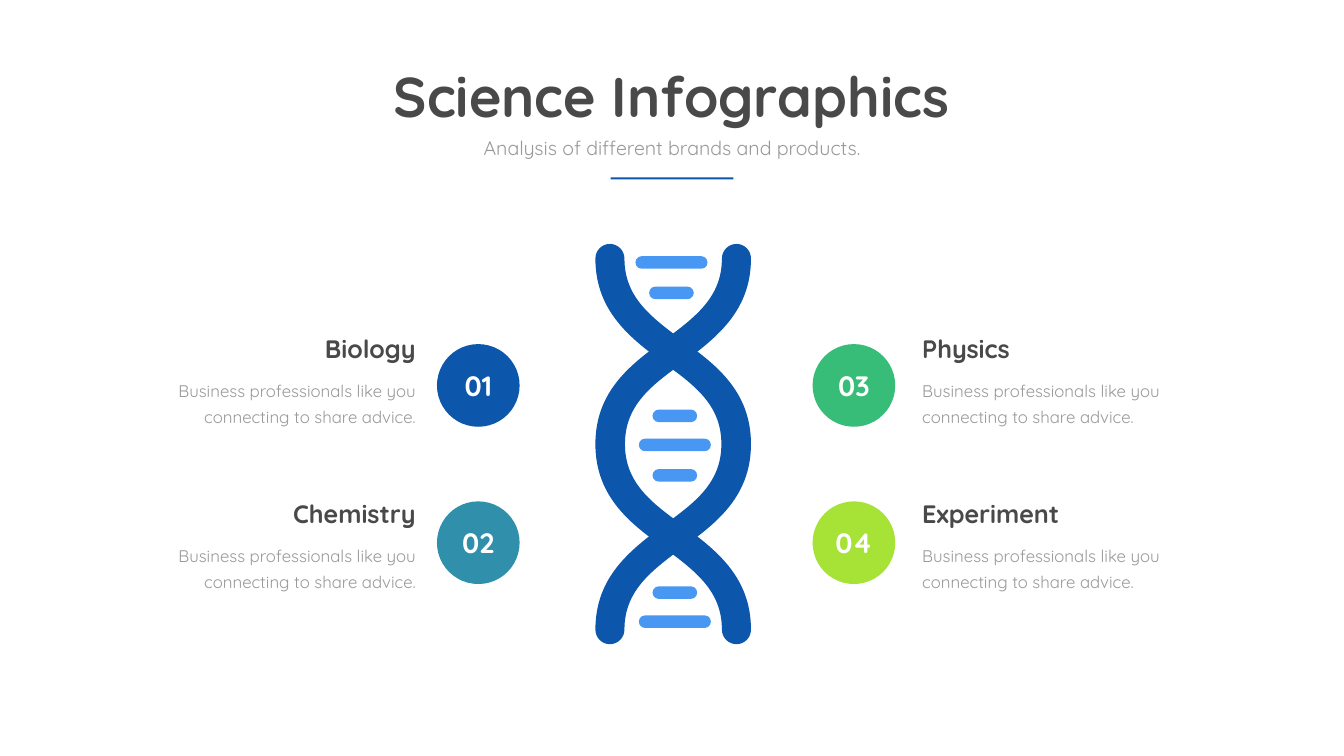
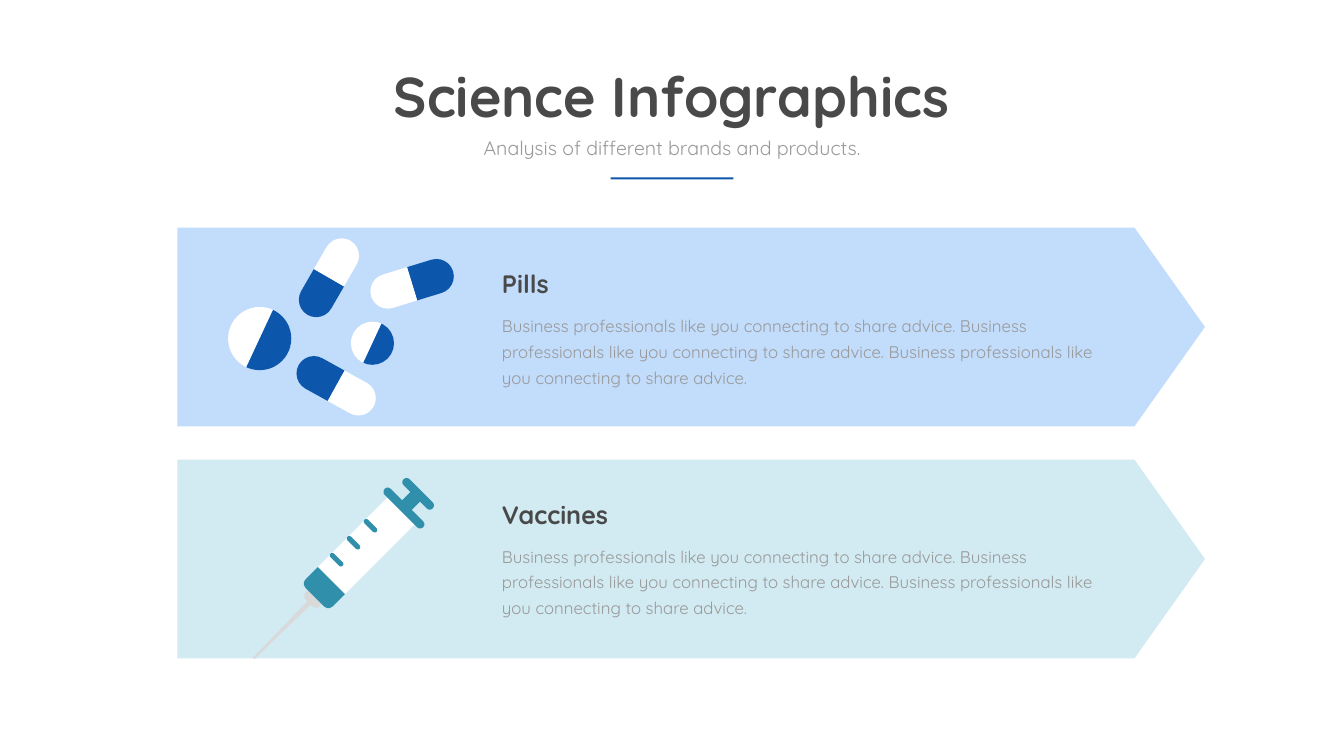
from math import cos, radians, sin

from pptx import Presentation
from pptx import util as u
from pptx.dml.color import RGBColor
from pptx.enum import shapes, text
from pptx.oxml import ns, xmlchemy

NAVY = RGBColor(0x0C, 0x56, 0xAB)
SKY = RGBColor(0x48, 0x97, 0xF2)
TEAL = RGBColor(0x30, 0x8F, 0xAB)
GREEN = RGBColor(0x37, 0xBD, 0x78)
LIME = RGBColor(0xA7, 0xE2, 0x37)
PALE_BLUE = RGBColor(0xC2, 0xDC, 0xFB)
PALE_TEAL = RGBColor(0xD2, 0xEB, 0xF2)
SILVER = RGBColor(0xD9, 0xD9, 0xD9)
WHITE = RGBColor(0xFF, 0xFF, 0xFF)
DARK = RGBColor(0x49, 0x49, 0x49)
GRAY = RGBColor(0x99, 0x99, 0x99)

FONT = "Quicksand"
TITLE = {"size": u.Pt(80), "bold": True}, DARK, None
SUBTITLE = {"size": u.Pt(28), "bold": False}, GRAY, None
HEADING = {"size": u.Pt(36), "bold": True}, DARK, None
BODY = {"size": u.Pt(24), "bold": False}, GRAY, u.Pt(36.6)
NUMBER = {"size": u.Pt(40), "bold": True}, WHITE, None
LEFT, CENTER, RIGHT = text.PP_ALIGN.LEFT, text.PP_ALIGN.CENTER, text.PP_ALIGN.RIGHT
KIND = shapes.MSO_SHAPE
ADVICE = "Business professionals like you connecting to share advice."

presentation = Presentation()
presentation.slide_width = u.Inches(26.67)
presentation.slide_height = u.Inches(15)

# Square grid: 80 columns by 45 rows; all lengths below are in cells
CELL = presentation.slide_width / 80


def place(slide, kind, center, size, color, rotation=0, adjustments=()):
    """Add a plain shape around its center."""
    (x, y), (width, height) = center, size
    box = (x - width / 2, y - height / 2, width, height)
    shape = slide.shapes.add_shape(kind, *[round(value * CELL) for value in box])
    for index, value in enumerate(adjustments):
        shape.adjustments[index] = value
    shape.rotation = rotation
    shape.shadow.inherit = False
    shape.fill.solid()
    shape.fill.fore_color.rgb = color
    shape.line.fill.background()
    return shape


def write(slide, words, style, align, box=None, shape=None, anchor=text.MSO_ANCHOR.TOP, wrap=True):
    """Write one paragraph into a shape, or into a new text box."""
    font_format, color, line_spacing = style
    if shape is None:
        shape = slide.shapes.add_textbox(0, 0, 0, 0)
    if box:
        for name, value in zip(("left", "top", "width", "height"), box):
            setattr(shape, name, round(value * CELL))
    frame = shape.text_frame
    frame.text = words
    frame_format = {"word_wrap": wrap, "auto_size": text.MSO_AUTO_SIZE.NONE, "vertical_anchor": anchor}
    for name, value in frame_format.items():
        setattr(frame, name, value)
    paragraph = frame.paragraphs[0]
    paragraph_format = {"alignment": align, "space_before": u.Pt(0), "line_spacing": line_spacing or 1.0}
    for name, value in paragraph_format.items():
        setattr(paragraph, name, value)
    font = paragraph.runs[0].font
    for name, value in {"name": FONT, **font_format}.items():
        setattr(font, name, value)
    font.color.rgb = color


# Both slides: title, subtitle and short rule
for _ in range(2):
    slide = presentation.slides.add_slide(presentation.slide_layouts[0])
    write(slide, "Science Infographics", TITLE, CENTER, (22.47, 3.5, 35, 4.35),
          slide.shapes.title, wrap=False)
    write(slide, "Analysis of different brands and products.", SUBTITLE, CENTER,
          (25.65, 7.95, 28.7, 1.7), slide.placeholders[1])
    place(slide, KIND.RECTANGLE, (40, 10.62), (7.3, 0.12), NAVY)
topics_slide, medicine_slide = presentation.slides

# DNA strands: Bézier points of the upper half, reflected downward and sideways
HELIX_X, HELIX_Y = 40.07, 26.43
outer_edge = [(-4.63, 0), (-4.63, -3.21), (-2.44, -4.8), (-0.49, -6.21),
              (1.31, -7.56), (2.9, -8.73), (2.9, -11.04)]
cap = [(2.9, -11.52), (3.29, -11.91), (3.77, -11.91), (4.25, -11.91), (4.63, -11.52)]
inner_edge = [(4.63, -11.04), (4.63, -7.83), (2.44, -6.24), (0.52, -4.8),
              (-1.3, -3.48), (-2.87, -2.31), (-2.87, 0)]
upper = outer_edge + cap + inner_edge
strand = upper + [(x, -y) for x, y in reversed(upper[:-1])]
for side in (1, -1):
    outline = [((HELIX_X + side * x) * CELL, (HELIX_Y + y) * CELL) for x, y in strand]
    builder = topics_slide.shapes.build_freeform(*outline[0])
    builder.add_line_segments(outline[1:], close=True)
    shape = builder.convert_to_shape()
    shape.shadow.inherit = False
    shape.fill.solid()
    shape.fill.fore_color.rgb = NAVY
    shape.line.fill.background()
    # Every three points make one curve
    segments = list(shape._element.iter(ns.qn("a:lnTo")))
    for start in range(0, len(segments), 3):
        curve = xmlchemy.OxmlElement("a:cubicBezTo")
        segments[start].addprevious(curve)
        for segment in segments[start:start + 3]:
            curve.append(segment[0])
            segment.getparent().remove(segment)

# DNA rungs
LONG, SHORT = 4.29, 2.66
for x, y, width in [(39.97, 15.62, LONG), (39.97, 17.43, SHORT),
                    (40.17, 24.75, SHORT), (40.17, 26.48, LONG), (40.17, 28.29, SHORT),
                    (40.17, 35.27, SHORT), (40.17, 37, LONG)]:
    place(topics_slide, KIND.ROUNDED_RECTANGLE, (x, y), (width, 0.75), SKY, adjustments=[0.5])

# Four numbered topics, filled column by column
topics = [("Biology", NAVY), ("Chemistry", TEAL), ("Physics", GREEN), ("Experiment", LIME)]
HEADING_WIDTH, ADVICE_WIDTH = 14.67, 16.35
for index, (topic, color) in enumerate(topics):
    column, row = divmod(index, 2)
    align = (RIGHT, LEFT)[column]
    heading_left = (25.04 - HEADING_WIDTH, 54.6)[column]
    advice_left = (25.04 - ADVICE_WIDTH, 54.6)[column]
    text_top = 19.71 + 9.79 * row
    write(topics_slide, ADVICE, BODY, align, (advice_left, text_top + 2.5, ADVICE_WIDTH, 3.39))
    write(topics_slide, topic, HEADING, align, (heading_left, text_top, HEADING_WIDTH, 2.13))
    circle = place(topics_slide, KIND.OVAL, ((28.47, 50.83)[column], 22.94 + 9.36 * row),
                   (4.92, 4.92), color)
    write(topics_slide, f"{index + 1:02}", NUMBER, CENTER, shape=circle, anchor=text.MSO_ANCHOR.MIDDLE)

# Arrow bands with their texts
for heading, color, band_y, text_top in [("Pills", PALE_BLUE, 19.46, 15.84),
                                         ("Vaccines", PALE_TEAL, 33.27, 29.55)]:
    place(medicine_slide, KIND.PENTAGON, (41.14, band_y), (61.17, 11.82), color, adjustments=[0.355])
    write(medicine_slide, " ".join([ADVICE] * 3), BODY, LEFT, (29.58, text_top + 2.5, 36.72, 4.8))
    write(medicine_slide, heading, HEADING, LEFT, (29.58, text_top, HEADING_WIDTH, 2.13))

# Round tablets: two half discs each, split along a slanted seam
SEAM = 295
for center, diameter in [((15.46, 20.15), 3.76), ((22.17, 20.43), 2.57)]:
    for start, end, color in [(SEAM - 180, SEAM, WHITE), (SEAM, SEAM - 180, NAVY)]:
        place(medicine_slide, KIND.CHORD, center, (diameter, diameter), color,
              adjustments=[start * 0.6, end * 0.6])  # degrees in steps of 100000/60000

# Capsules: two rounded halves that meet at the seam
HALF_LENGTH, THICKNESS = 2.55, 2.07
for seam_x, seam_y, navy_angle in [(24.53, 16.89, 73), (19.58, 16.53, 210), (20.01, 22.96, 299)]:
    for angle, color in [(navy_angle, NAVY), ((navy_angle + 180) % 360, WHITE)]:
        center = (seam_x + HALF_LENGTH / 2 * sin(radians(angle)),
                  seam_y - HALF_LENGTH / 2 * cos(radians(angle)))
        place(medicine_slide, KIND.ROUND_2_SAME_RECTANGLE, center, (THICKNESS, HALF_LENGTH),
              color, angle, [0.5, 0])

# Syringe: parts by distance along the axis from the needle tip and offset across it
TIP_X, TIP_Y = 15.09, 39.19
DIAGONAL = cos(radians(45))
TOWARD_TIP, TOWARD_PLUNGER = 225, 45
syringe = [
    (KIND.ROUND_2_SAME_RECTANGLE, 5.05, 0, (1.17, 0.75), SILVER, TOWARD_TIP, [0.4, 0]),
    (KIND.TRAPEZOID, 2.61, 0, (0.3, 5.22), SILVER, TOWARD_TIP, [0.3]),
    (KIND.ROUND_2_SAME_RECTANGLE, 5.87, 0, (2.28, 1.41), TEAL, TOWARD_TIP, [0.25, 0]),
    (KIND.RECTANGLE, 9.54, 0, (2.28, 5.94), WHITE, TOWARD_PLUNGER, []),
    (KIND.ROUNDED_RECTANGLE, 12.66, 0, (3.24, 0.51), TEAL, TOWARD_PLUNGER, [0.5]),
    (KIND.ROUNDED_RECTANGLE, 13.86, 0, (2.46, 0.51), TEAL, TOWARD_PLUNGER, [0.5]),
    (KIND.RECTANGLE, 13.25, 0, (0.81, 0.87), TEAL, TOWARD_PLUNGER, []),
]
for mark in range(3):
    syringe.append((KIND.ROUNDED_RECTANGLE, 7.65 + 1.43 * mark, -0.66, (1.02, 0.3),
                    TEAL, TOWARD_PLUNGER, [0.5]))
for kind, along, across, size, color, rotation, adjustments in syringe:
    center = (TIP_X + (along + across) * DIAGONAL, TIP_Y - (along - across) * DIAGONAL)
    place(medicine_slide, kind, center, size, color, rotation, adjustments)

presentation.save("out.pptx")
